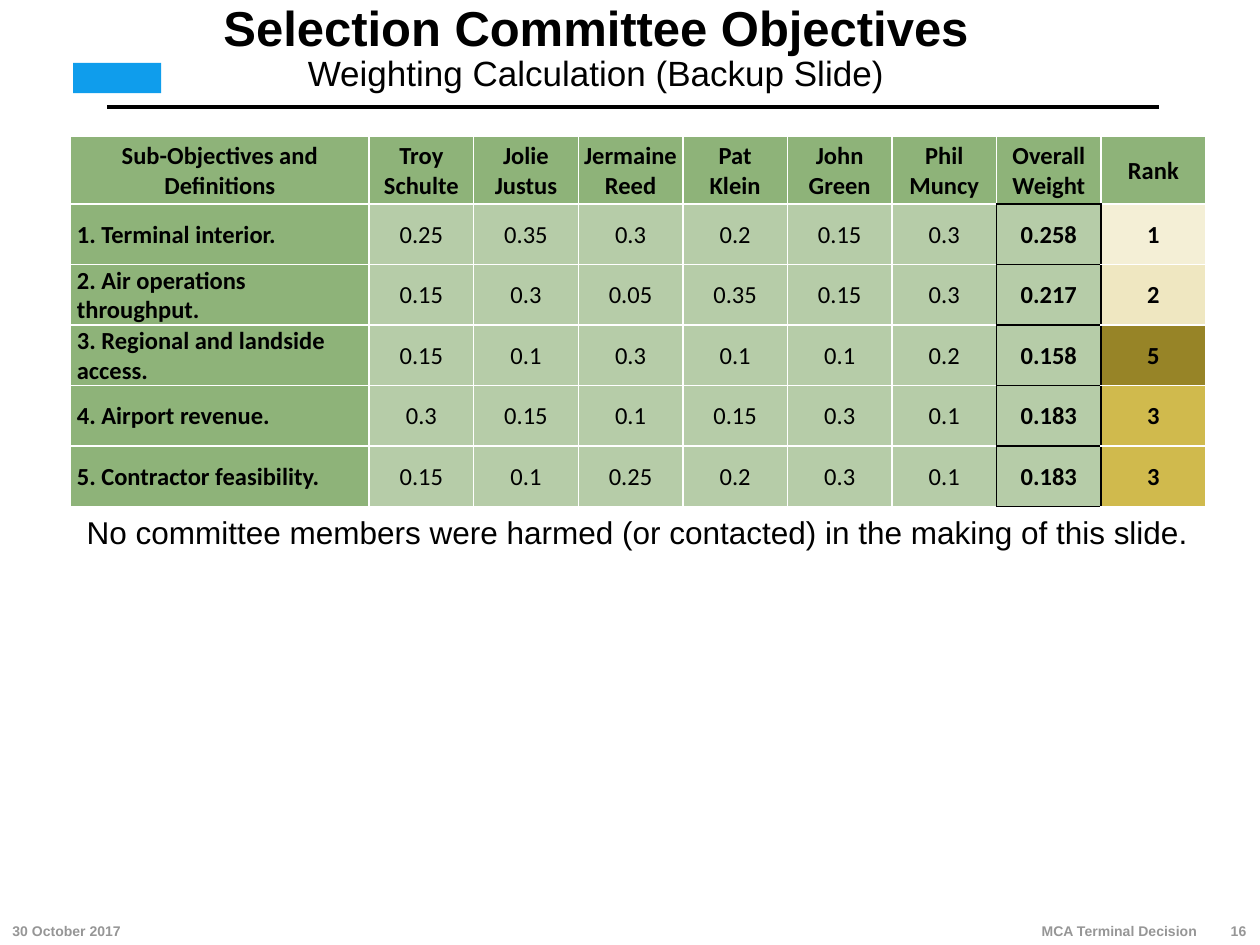
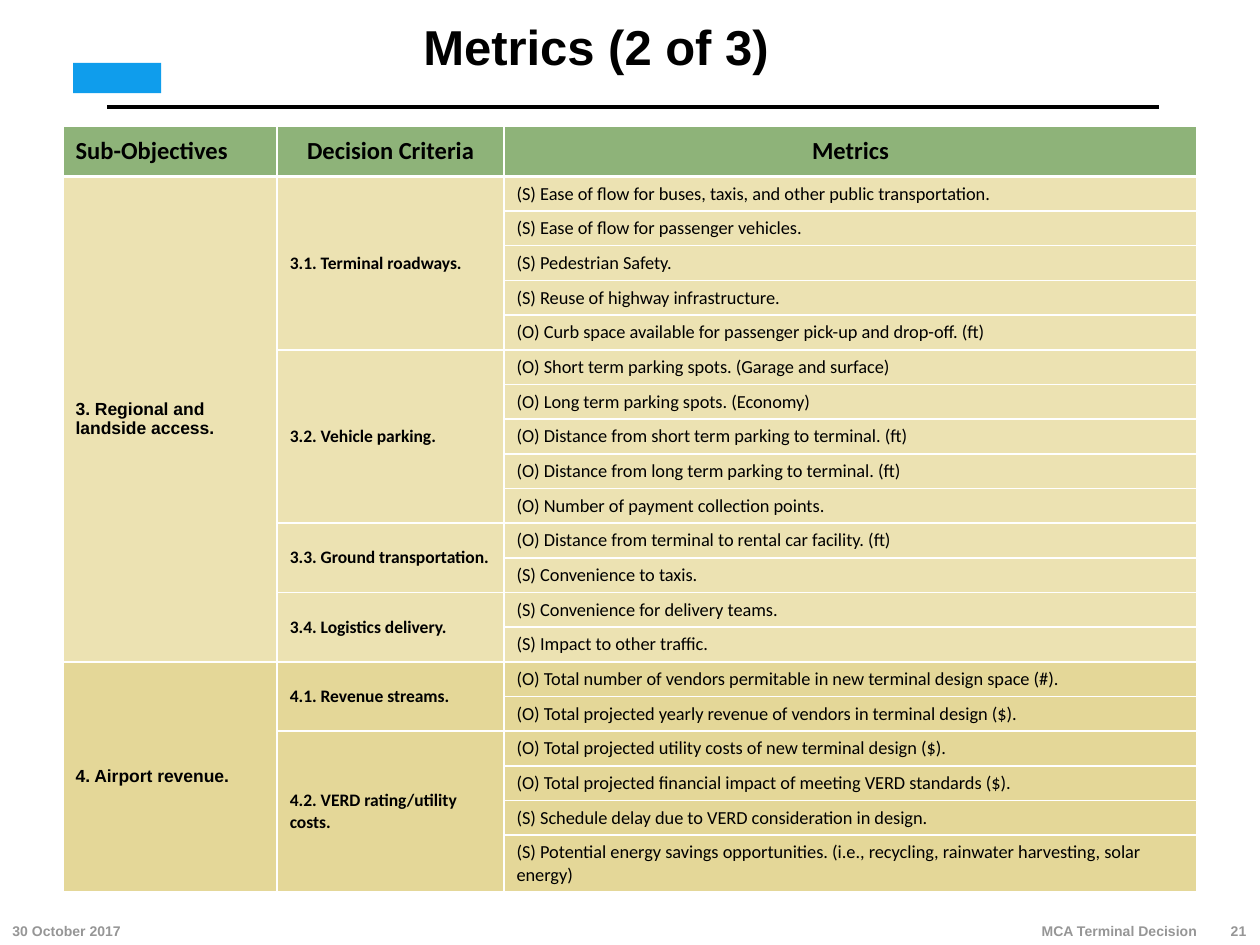
from dataclasses import dataclass

from lxml.etree import SubElement
from pptx import Presentation
from pptx.dml.color import RGBColor
from pptx.enum.shapes import MSO_CONNECTOR, MSO_SHAPE
from pptx.enum.text import MSO_ANCHOR, PP_ALIGN
from pptx.oxml import parse_xml
from pptx.oxml.ns import nsdecls, qn
from pptx.util import Inches, Pt

# ---- Content ----
DATE = "30 October 2017"
FOOTER = "MCA Terminal Decision"

WEIGHTS_TITLE = "Selection Committee Objectives"
WEIGHTS_SUBTITLE = "Weighting Calculation (Backup Slide)"
WEIGHTS_HEADER = ["Sub-Objectives and Definitions", "Troy\nSchulte", "Jolie\nJustus",
                  "Jermaine\nReed", "Pat\nKlein", "John\nGreen", "Phil Muncy",
                  "Overall Weight", "Rank"]
WEIGHTS = [
    ("1. Terminal interior.", [0.25, 0.35, 0.3, 0.2, 0.15, 0.3]),
    ("2. Air operations throughput.", [0.15, 0.3, 0.05, 0.35, 0.15, 0.3]),
    ("3. Regional and landside access.", [0.15, 0.1, 0.3, 0.1, 0.1, 0.2]),
    ("4. Airport revenue.", [0.3, 0.15, 0.1, 0.15, 0.3, 0.1]),
    ("5. Contractor feasibility.", [0.15, 0.1, 0.25, 0.2, 0.3, 0.1]),
]
NOTE = "No committee members were harmed (or contacted) in the making of this slide."

METRICS_TITLE = "Metrics (2 of 3)"
METRICS_HEADER = ["Sub-Objectives", "Decision Criteria", "Metrics"]
METRICS = [
    ("3. Regional and landside access.", "ECE2B2", [
        ("3.1. Terminal roadways.", [
            "(S) Ease of flow for buses, taxis, and other public transportation.",
            "(S) Ease of flow for passenger vehicles.",
            "(S) Pedestrian Safety.",
            "(S) Reuse of highway infrastructure.",
            "(O) Curb space available for passenger pick-up and drop-off. (ft)"]),
        ("3.2. Vehicle parking.", [
            "(O) Short term parking spots. (Garage and surface)",
            "(O) Long term parking spots. (Economy)",
            "(O) Distance from short term parking to terminal. (ft)",
            "(O) Distance from long term parking to terminal. (ft)",
            "(O) Number of payment collection points."]),
        ("3.3. Ground transportation.", [
            "(O) Distance from terminal to rental car facility. (ft)",
            "(S) Convenience to taxis."]),
        ("3.4. Logistics delivery.", [
            "(S) Convenience for delivery teams.",
            "(S) Impact to other traffic."]),
    ]),
    ("4. Airport revenue.", "E4D798", [
        ("4.1. Revenue streams.", [
            "(O) Total number of vendors permitable in new terminal design space (#).",
            "(O) Total projected yearly revenue of vendors in terminal design ($)."]),
        ("4.2. VERD rating/utility costs.", [
            "(O) Total projected utility costs of new terminal design ($).",
            "(O) Total projected financial impact of meeting VERD standards ($).",
            "(S) Schedule delay due to VERD consideration in design.",
            "(S) Potential energy savings opportunities. (i.e., recycling, "
            "rainwater harvesting, solar energy)"]),
    ]),
]


# ---- Theme ----
@dataclass(frozen=True)
class Theme:
    black: str = "000000"
    white: str = "FFFFFF"
    grey: str = "969696"
    blue: str = "0F9DEC"
    header: str = "8EB379"
    body: str = "B6CCA8"
    head_font: str = "Arial"
    table_font: str = "Calibri"
    title: float = 28
    subtitle: float = 20
    note: float = 18
    table: float = 14
    metric: float = 10.5
    group: float = 10
    footer: float = 8


T = Theme()
RANK_FILLS = {1: "F4EFD6", 2: "EFE7C1", 3: "D0BA4D", 5: "978427"}
LEFT, CENTER, RIGHT = PP_ALIGN.LEFT, PP_ALIGN.CENTER, PP_ALIGN.RIGHT


# ---- Helpers ----
def style(tf, size, color=T.black, font=T.head_font, bold=False, align=LEFT):
    for p in tf.paragraphs:
        p.alignment = align
        for r in p.runs:
            r.font.size, r.font.name, r.font.bold = Pt(size), font, bold
            r.font.color.rgb = RGBColor.from_string(color)


def set_margins(box, margins):
    (box.margin_left, box.margin_top,
     box.margin_right, box.margin_bottom) = map(Inches, margins)


def add_text(s, at, text, size, anchor=MSO_ANCHOR.TOP, margins=(0.1, 0.05, 0.1, 0.05),
             wrap=True, **look):
    tf = s.shapes.add_textbox(*map(Inches, at)).text_frame
    tf.text, tf.word_wrap, tf.vertical_anchor = text, wrap, anchor
    set_margins(tf, margins)
    style(tf, size, **look)
    return tf


def add_table(s, left, top, cols, rows):
    frame = s.shapes.add_table(len(rows), len(cols), Inches(left), Inches(top),
                               Inches(sum(cols)), Inches(sum(rows)))
    table = frame.table
    for column, width in zip(table.columns, cols):
        column.width = Inches(width)
    for row, height in zip(table.rows, rows):
        row.height = Inches(height)
    return table


def set_borders(cell, special):
    tc_pr = cell._tc.get_or_add_tcPr()
    for i, side in enumerate("LRTB"):
        color, width = special.get(side, (T.white, 1))
        ln = parse_xml(f'<a:ln{side} {nsdecls("a")} w="{Pt(width)}"><a:solidFill>'
                       f'<a:srgbClr val="{color}"/></a:solidFill></a:ln{side}>')
        tc_pr.insert(i, ln)


def fill_cell(cell, text, fill, size=T.table, font=T.table_font, bold=True, align=CENTER,
              margins=(0.1, 0.05, 0.1, 0.05), borders=None):
    cell.text_frame.text = text
    cell.vertical_anchor = MSO_ANCHOR.MIDDLE
    set_margins(cell, margins)
    style(cell.text_frame, size, font=font, bold=bold, align=align)
    cell.fill.solid()
    cell.fill.fore_color.rgb = RGBColor.from_string(fill)
    set_borders(cell, borders or {})


def add_frame(prs, title, number, subtitle=None):
    """Slide with title, rule, brand block and footer."""
    s = prs.slides.add_slide(prs.slide_layouts[6])

    # Rule under the title
    rule = s.shapes.add_connector(MSO_CONNECTOR.STRAIGHT, *map(Inches, (0.85, 0.85, 9.2, 0.85)))
    rule.line.color.rgb = RGBColor.from_string(T.black)
    rule.line.width = Pt(2.5)
    SubElement(rule._element.spPr, qn("a:effectLst"))

    # Brand block
    block = s.shapes.add_shape(MSO_SHAPE.RECTANGLE, *map(Inches, (0.58, 0.5, 0.7, 0.24)))
    block.shadow.inherit = False
    block.fill.solid()
    block.fill.fore_color.rgb = RGBColor.from_string(T.blue)
    block.line.fill.background()

    # Title
    text = f"{title}\v{subtitle}" if subtitle else title
    tf = add_text(s, (0.73, 0, 8, 0.78), text, T.title, MSO_ANCHOR.MIDDLE, (0, 0, 0, 0),
                  bold=True, align=CENTER)
    p = tf.paragraphs[0]
    p.line_spacing = 0.9
    for r in p.runs[1:]:
        r.font.size, r.font.bold = Pt(T.subtitle), False

    # Footer
    for left, width, label, align in [(0, 2, DATE, LEFT), (6.6, 3, FOOTER, RIGHT),
                                      (9.59, 0.4, str(number), RIGHT)]:
        add_text(s, (left, 7.25, width, 0.25), label, T.footer, MSO_ANCHOR.BOTTOM,
                 color=T.grey, bold=True, align=align)
    return s


# ---- Slides ----
def build_weights(prs):
    s = add_frame(prs, WEIGHTS_TITLE, 16, WEIGHTS_SUBTITLE)
    table = add_table(s, 0.56, 1.08, [2.37] + [0.83] * 8, [0.54] + [0.48] * len(WEIGHTS))
    tight, indented = (0.01, 0.01, 0.01, 0), (0.05, 0.01, 0.05, 0)
    box = (T.black, 1)
    overall_col, rank_col = 7, 8

    for col, text in enumerate(WEIGHTS_HEADER):
        fill_cell(table.cell(0, col), text, T.header, margins=tight,
                  borders={"B": box} if col == overall_col else None)

    overall = [round(sum(votes) / len(votes), 3) for _, votes in WEIGHTS]
    for row, ((name, votes), weight) in enumerate(zip(WEIGHTS, overall), start=1):
        rank = 1 + sum(other > weight for other in overall)
        fill_cell(table.cell(row, 0), name, T.header, align=LEFT, margins=indented)
        for col, vote in enumerate(votes, start=1):
            fill_cell(table.cell(row, col), str(vote), T.body, bold=False, margins=tight,
                      borders={"R": box} if col == overall_col - 1 else None)
        fill_cell(table.cell(row, overall_col), f"{weight:.3f}", T.body, margins=tight,
                  borders=dict.fromkeys("LRTB", box))
        fill_cell(table.cell(row, rank_col), str(rank), RANK_FILLS[rank], margins=tight,
                  borders={"L": box})

    add_text(s, (0.59, 4.02, 8.94, 0.4), NOTE, T.note, wrap=False)


def build_metrics(prs):
    s = add_frame(prs, METRICS_TITLE, 21)
    count = sum(len(metrics) for _, _, criteria in METRICS for _, metrics in criteria)
    table = add_table(s, 0.5, 1, [1.7, 1.8, 5.5], [0.4] + [0.27] * (count - 1) + [0.45])
    thick = (T.white, 2.25)

    for col, text in enumerate(METRICS_HEADER):
        fill_cell(table.cell(0, col), text, T.header, align=CENTER if col else LEFT,
                  borders={"B": thick})

    row = 1
    for objective, fill, criteria in METRICS:
        first = row
        for criterion, metrics in criteria:
            start = row
            for metric in metrics:
                top = {"T": thick} if row == 1 else {}
                # Cells hidden by a merge keep the group's fill and borders
                for col, text in enumerate([objective if row == first else "",
                                            criterion if row == start else "", metric]):
                    fill_cell(table.cell(row, col), text, fill, align=LEFT, borders=top,
                              size=T.metric if col == 2 else T.group,
                              font=T.table_font if col else T.head_font, bold=col < 2)
                row += 1
            table.cell(start, 1).merge(table.cell(row - 1, 1))
        table.cell(first, 0).merge(table.cell(row - 1, 0))


def main():
    prs = Presentation()
    prs.slide_width, prs.slide_height = Inches(10), Inches(7.5)
    build_weights(prs)
    build_metrics(prs)
    prs.save("out.pptx")


if __name__ == "__main__":
    main()
